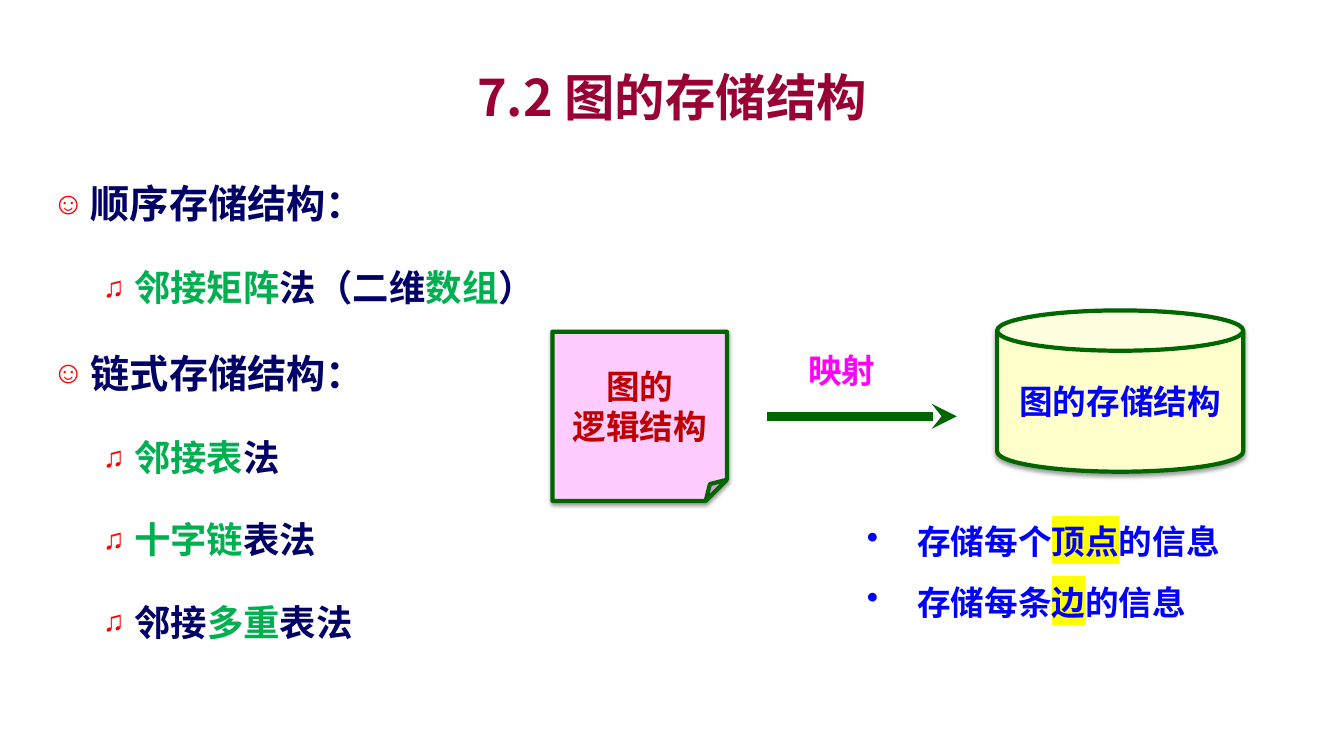
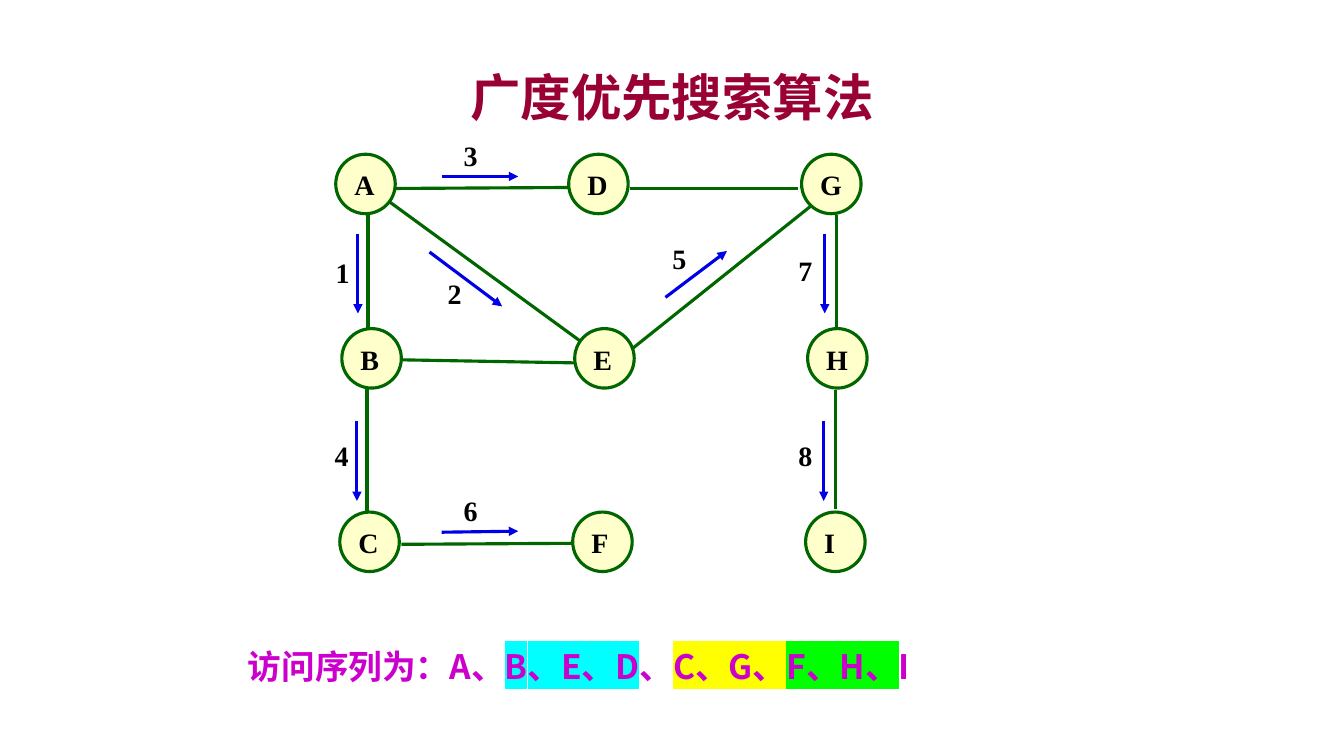
from pptx import Presentation
from pptx.dml.color import RGBColor as RGB
from pptx.enum.lang import MSO_LANGUAGE_ID as LANG
from pptx.enum.shapes import MSO_CONNECTOR as CONN, MSO_SHAPE as SHAPE
from pptx.enum.text import MSO_ANCHOR as ANCHOR, MSO_AUTO_SIZE as AUTO, PP_ALIGN as ALIGN
from pptx.oxml import parse_xml
from pptx.oxml.ns import nsdecls, qn
from pptx.util import Inches, Pt

# Shared look
SANS, SERIF = "Noto Sans CJK SC", "Times New Roman"
MAROON, NAVY, GREEN = RGB(0x99, 0, 0x33), RGB(0, 0, 0x66), RGB(0, 0xB0, 0x50)
BLUE, ARROW_BLUE, BLACK = RGB(0, 0, 0xFF), RGB(0, 0, 0xE7), RGB(0, 0, 0)
DARK_GREEN, RED, MAGENTA = RGB(0, 0x66, 0), RGB(0xC0, 0, 0), RGB(0xFF, 0, 0xFF)
PINK, CREAM, PURPLE = RGB(0xFF, 0xCC, 0xFF), RGB(0xFF, 0xFF, 0xCC), RGB(0xCC, 0, 0xCC)
BULLET_RED = RGB(0xFF, 0, 0)
YELLOW, CYAN, LIME = RGB(0xFF, 0xFF, 0), RGB(0, 0xFF, 0xFF), RGB(0, 0xFF, 0)
SLIDE_W, SLIDE_H = 13.33, 7.5
TITLE_BOX = (1, 0.58, 11.33, 0.75)

# Storage slide: (level, runs of (text, colour))
METHODS = [
    (0, [("顺序存储结构：", NAVY)]),
    (1, [("邻接矩阵", GREEN), ("法（二维", NAVY), ("数组", GREEN), ("）", NAVY)]),
    (0, [("链式存储结构：", NAVY)]),
    (1, [("邻接表", GREEN), ("法", NAVY)]),
    (1, [("十字链", GREEN), ("表法", NAVY)]),
    (1, [("邻接", NAVY), ("多重", GREEN), ("表法", NAVY)]),
]
# Per level: text size, bullet, left margin, hanging indent
LEVELS = [(28, "☺", 0.38, 0.38), (26, "♫", 0.81, 0.31)]
# Runs of (text, highlight)
STORED = [
    [("存储每个", None), ("顶点", YELLOW), ("的信息", None)],
    [("存储每条", None), ("边", YELLOW), ("的信息", None)],
]
# Shape, adjustment in 1/100000, box, fill, text colour, lines
STRUCTURES = [
    (SHAPE.FOLDED_CORNER, 12500, (5.48, 3.29, 1.73, 1.68), PINK, RED, ["图的", "逻辑结构"]),
    (SHAPE.CAN, 25000, (9.89, 3.08, 2.44, 1.6), CREAM, BLUE, ["图的存储结构"]),
]

# Search slide: rows of the graph as (left, top, node names)
NODE_ROWS = [(3.33, 1.53, "ADG"), (3.39, 3.26, "BEH"), (3.37, 5.08, "CFI")]
NODE_SIZE, NODE_STEP = 0.59, 2.31
EDGES = [
    (3.92, 1.87, 5.66, 1.86), (6.25, 1.87, 7.91, 1.87),  # top row
    (3.98, 3.57, 5.7, 3.6), (3.98, 5.4, 5.7, 5.39),      # lower rows
    (3.65, 2.11, 3.65, 3.3), (3.64, 3.85, 3.64, 5.08),   # left column
    (8.3, 2.13, 8.3, 3.31), (8.29, 3.87, 8.29, 5.05),    # right column
    (3.86, 2, 5.75, 3.38), (6.27, 3.46, 8.06, 2.03),     # diagonals
]
# Visiting steps in order: label corner, arrow ends
STEPS = [
    ((3.23, 2.49), (3.55, 2.32, 3.55, 3.11)),
    ((4.34, 2.69), (4.26, 2.5, 4.98, 3.04)),
    ((4.5, 1.32), (4.38, 1.75, 5.14, 1.75)),
    ((3.22, 4.3), (3.54, 4.18, 3.54, 4.97)),
    ((6.57, 2.35), (6.6, 2.95, 7.21, 2.49)),
    ((4.5, 4.85), (4.38, 5.28, 5.14, 5.27)),
    ((7.82, 2.47), (8.18, 2.32, 8.18, 3.11)),
    ((7.82, 4.3), (8.17, 4.18, 8.17, 4.97)),
]
VISITED = [("访问序列为：A、", None), ("B、E、D", CYAN), ("、", None),
           ("C、G、", YELLOW), ("F、H、", LIME), ("I", None)]


def xml(tag, attrs="", inner=""):
    return parse_xml(f"<a:{tag} {nsdecls('a')} {attrs}>{inner}</a:{tag}>")


def colour_xml(colour, inner=""):
    return f'<a:srgbClr val="{colour}">{inner}</a:srgbClr>'


def add_run(p, text, size, colour, font=SANS, mark=None):
    r = p.add_run()
    r.text = text
    for key, value in dict(size=Pt(size), bold=True, name=font,
                           language_id=LANG.SIMPLIFIED_CHINESE).items():
        setattr(r.font, key, value)
    r.font.color.rgb = colour
    rPr = r._r.get_or_add_rPr()
    rPr.find(qn("a:latin")).addnext(xml("ea", f'typeface="{SANS}"'))
    if mark is not None:
        rPr.find(qn("a:solidFill")).addnext(xml("highlight", inner=colour_xml(mark)))


def add_bullet(p, char, left, hang, colour=None):
    pPr = p._p.get_or_add_pPr()
    pPr.set("marL", str(Inches(left)))
    pPr.set("indent", str(-Inches(hang)))
    if colour is not None:
        pPr.append(xml("buClr", inner=colour_xml(colour)))
        pPr.append(xml("buSzPct", 'val="80000"'))
    pPr.append(xml("buChar", f'char="{char}"'))


def paragraphs(tf, count):
    return [tf.paragraphs[0]] + [tf.add_paragraph() for _ in range(count - 1)]


def place(sp, box):
    sp.left, sp.top, sp.width, sp.height = map(Inches, box)


def add_text(shapes, box, runs, size, colour, font=SERIF, align=ALIGN.LEFT):
    """One-paragraph text box; runs are (text, highlight)."""
    tf = shapes.add_textbox(*map(Inches, box)).text_frame
    tf.word_wrap = True
    p = tf.paragraphs[0]
    p.alignment = align
    for text, mark in runs:
        add_run(p, text, size, colour, font, mark)


def add_preset(shapes, kind, box, fill, weight):
    sp = shapes.add_shape(kind, *map(Inches, box))
    sp.shadow.inherit = False
    sp.fill.solid()
    sp.fill.fore_color.rgb = fill
    sp.line.color.rgb, sp.line.width = DARK_GREEN, Pt(weight)
    return sp


def add_line(shapes, ends, colour, weight, head=None):
    c = shapes.add_connector(CONN.STRAIGHT, *map(Inches, ends))
    c.line.color.rgb, c.line.width = colour, Pt(weight)
    spPr = c._element.spPr
    if head:
        spPr.find(qn("a:ln")).append(xml("tailEnd", f'type="{head}"'))
    spPr.append(xml("effectLst"))


def new_slide(prs, layout, title):
    s = prs.slides.add_slide(prs.slide_layouts[layout])
    place(s.shapes.title, TITLE_BOX)
    tf = s.shapes.title.text_frame
    tf.auto_size, tf.vertical_anchor = AUTO.NONE, ANCHOR.MIDDLE
    tf.paragraphs[0].alignment = ALIGN.CENTER
    add_run(tf.paragraphs[0], title, 36, MAROON)
    return s


def storage_slide(prs):
    s = new_slide(prs, 1, "7.2 图的存储结构")

    # Outline of methods
    body = s.placeholders[1]
    place(body, (0.42, 1.5, 5.17, 5.67))
    tf = body.text_frame
    tf.auto_size = AUTO.NONE
    for i, (p, (level, runs)) in enumerate(zip(paragraphs(tf, len(METHODS)), METHODS)):
        size, char, left, hang = LEVELS[level]
        add_bullet(p, char, left, hang, BULLET_RED)
        for key, value in dict(level=level, line_spacing=1.5, space_after=Pt(6),
                               space_before=Pt(6 if i else 0)).items():
            setattr(p, key, value)
        for text, colour in runs:
            add_run(p, text, size, colour)

    # What is stored
    tf = s.shapes.add_textbox(*map(Inches, (8.5, 4.92, 4.14, 1.24))).text_frame
    tf.word_wrap = True
    for p, runs in zip(paragraphs(tf, len(STORED)), STORED):
        add_bullet(p, "•", 0.5, 0.5)
        p.line_spacing = 1.5
        for text, mark in runs:
            add_run(p, text, 24, BLUE, SERIF, mark)

    # Logical structure mapped to storage structure
    for kind, adjust, box, fill, colour, lines in STRUCTURES:
        sp = add_preset(s.shapes, kind, box, fill, 3)
        spPr = sp._element.spPr
        geometry = spPr.find(qn("a:prstGeom"))
        for guides in geometry.findall(qn("a:avLst")):
            geometry.remove(guides)
        geometry.append(xml("avLst", inner=f'<a:gd name="adj" fmla="val {adjust}"/>'))
        spPr.find(qn("a:effectLst")).append(xml(
            "outerShdw",
            f'blurRad="{Pt(3.1)}" dist="{Pt(1.6)}" dir="5400000" rotWithShape="0"',
            colour_xml(BLACK, '<a:alpha val="38000"/>')))
        tf = sp.text_frame
        tf.word_wrap, tf.vertical_anchor = False, ANCHOR.MIDDLE
        for p, text in zip(paragraphs(tf, len(lines)), lines):
            p.alignment = ALIGN.CENTER
            add_run(p, text, 24, colour, SERIF)
    add_line(s.shapes, (7.61, 4.13, 9.49, 4.13), DARK_GREEN, 6, "stealth")
    add_text(s.shapes, (7.68, 3.42, 1.34, 0.5), [("映射", None)], 24, MAGENTA,
             align=ALIGN.CENTER)


def search_slide(prs):
    s = new_slide(prs, 5, "广度优先搜索算法")
    add_text(s.shapes, (2.36, 6.36, 9.63, 0.5), VISITED, 24, PURPLE, SANS)
    graph = s.shapes.add_group_shape().shapes

    # Edges and nodes
    for ends in EDGES:
        add_line(graph, ends, DARK_GREEN, 2.25)
    for left, top, names in NODE_ROWS:
        for col, name in enumerate(names):
            box = (left + col * NODE_STEP, top, NODE_SIZE, NODE_SIZE)
            tf = add_preset(graph, SHAPE.OVAL, box, CREAM, 2.25).text_frame
            tf.vertical_anchor = ANCHOR.TOP
            tf.paragraphs[0].alignment = ALIGN.JUSTIFY
            add_run(tf.paragraphs[0], name, 20, BLACK, SERIF)

    # Numbered visiting steps
    for number, (corner, ends) in enumerate(STEPS, 1):
        add_line(graph, ends, ARROW_BLUE, 2.25, "triangle")
        add_text(graph, (*corner, 0.48, 0.45), [(str(number), None)], 20, BLACK)


def main():
    prs = Presentation()
    prs.slide_width, prs.slide_height = Inches(SLIDE_W), Inches(SLIDE_H)
    storage_slide(prs)
    search_slide(prs)
    prs.save("out.pptx")


if __name__ == "__main__":
    main()
